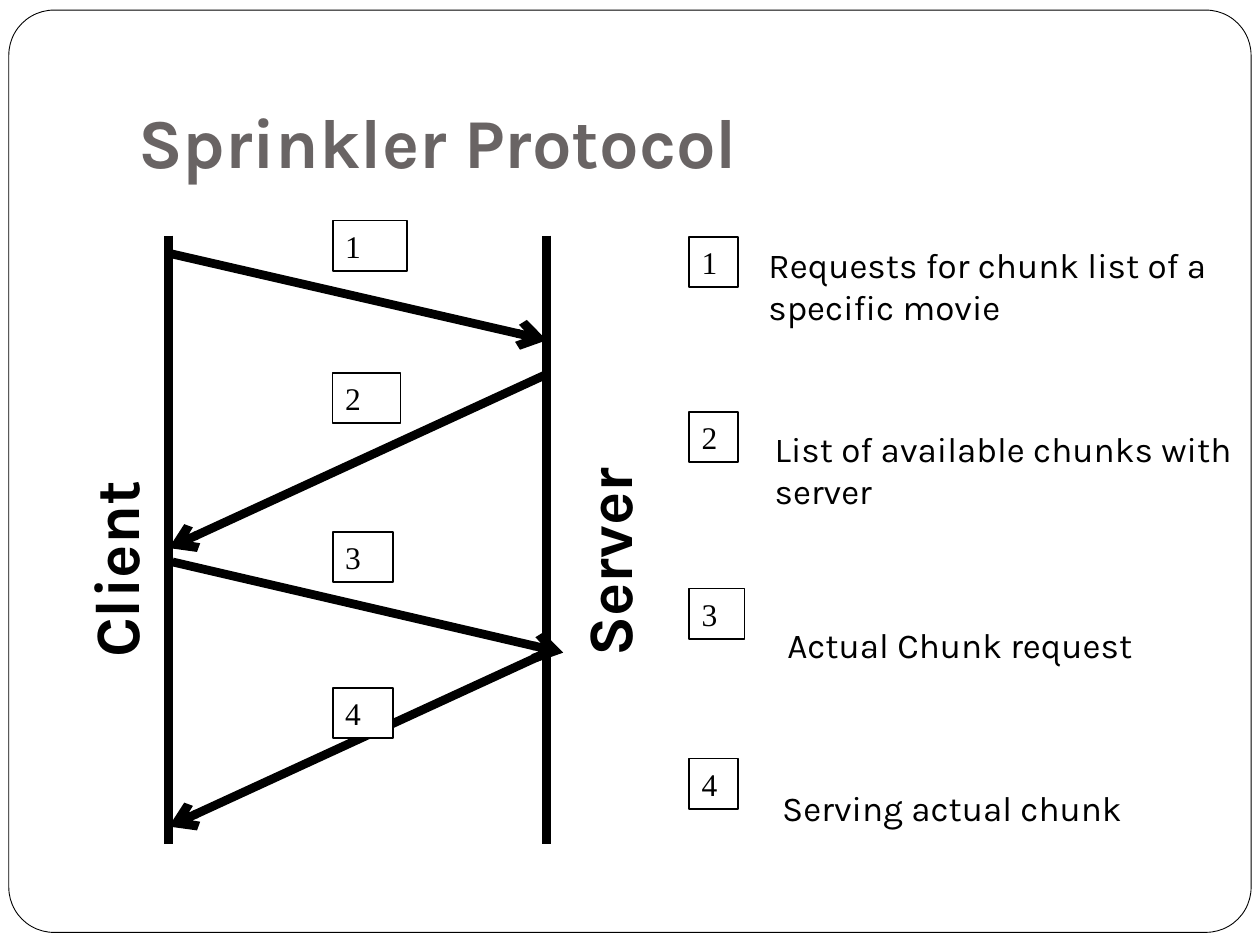
from lxml.etree import SubElement
from pptx import Presentation
from pptx.dml.color import RGBColor
from pptx.enum.shapes import MSO_CONNECTOR, MSO_SHAPE
from pptx.enum.text import MSO_ANCHOR, PP_ALIGN
from pptx.oxml.ns import qn
from pptx.util import Inches, Pt

COLORS = {"ink": "000000", "paper": "FFFFFF", "title": "696464"}
RGB = {name: RGBColor.from_string(value) for name, value in COLORS.items()}
NUMBER = {"name": "Times New Roman", "size": Pt(18)}
LABEL = {"name": "Karla", "size": Pt(20)}
ACTOR = {"name": "Karla", "size": Pt(36), "bold": True}
TITLE = {"name": "Karla", "size": Pt(40), "bold": True}

prs = Presentation()
prs.slide_width, prs.slide_height = Inches(10), Inches(7.5)
s = prs.slides.add_slide(prs.slide_layouts[6])


def add_box(x, y, w, h, text="", font=LABEL, color="ink", shape=None, line=1):
    """Add a text box, or an outlined preset shape when shape is given."""
    at = [Inches(v) for v in (x, y, w, h)]
    if shape is None:
        sp = s.shapes.add_textbox(*at)
    else:
        sp = s.shapes.add_shape(shape, *at)
        sp.shadow.inherit = False
        sp.fill.solid()
        sp.fill.fore_color.rgb = RGB["paper"]
        sp.line.color.rgb = RGB["ink"]
        sp.line.width = Pt(line)
    tf = sp.text_frame
    tf.word_wrap = True
    tf.vertical_anchor = MSO_ANCHOR.TOP
    if text:
        p = tf.paragraphs[0]
        p.alignment = PP_ALIGN.LEFT
        r = p.add_run()
        r.text = text
        for key, value in font.items():
            setattr(r.font, key, value)
        r.font.color.rgb = RGB[color]
    return sp


def add_line(x1, y1, x2, y2, arrow=False):
    c = s.shapes.add_connector(MSO_CONNECTOR.STRAIGHT,
                               *[Inches(v) for v in (x1, y1, x2, y2)])
    c.line.color.rgb = RGB["ink"]
    c.line.width = Pt(5)
    if arrow:
        SubElement(c.line._get_or_add_ln(), qn("a:tailEnd"), type="arrow")
    SubElement(c._element.spPr, qn("a:effectLst"))


frame = add_box(0.07, 0.08, 9.86, 7.32, shape=MSO_SHAPE.ROUNDED_RECTANGLE, line=0.5)
frame.adjustments[0] = 0.049

title = add_box(1, 0.3, 8.5, 1.25, "Sprinkler Protocol", TITLE, "title")
title.text_frame.vertical_anchor = MSO_ANCHOR.BOTTOM
title.text_frame.margin_bottom = Inches(0.1)

# Lifelines and the messages between them
client_x, server_x = 1.34, 4.34
for x in (client_x, server_x):
    add_line(x, 1.87, x, 6.7)
for message in [(client_x, 2.01, server_x, 2.7),
                (server_x, 2.97, client_x, 4.35),
                (1.37, 4.46, 4.47, 5.18),
                (server_x, 5.18, client_x, 6.56)]:
    add_line(*message, arrow=True)

for x, y, name in [(-0.33, 3.73, "Client"), (3.58, 3.72, "Server")]:
    add_box(x, y, 2.48, 0.7, name, ACTOR).rotation = 270

# Number boxes: (top, width) on the diagram, then in the legend
diagram = [(1.75, 0.59), (2.96, 0.54), (4.22, 0.48), (5.46, 0.48)]
legend = [(1.88, 0.39), (3.27, 0.39), (4.67, 0.44), (6.02, 0.39)]
for x, boxes in [(2.64, diagram), (5.47, legend)]:
    for number, (y, w) in enumerate(boxes, 1):
        add_box(x, y, w, 0.4, str(number), NUMBER, shape=MSO_SHAPE.RECTANGLE)

for x, y, w, h, text in [
    (6, 1.88, 4.12, 0.77, "Requests for chunk list of a specific movie"),
    (6.05, 3.34, 4.27, 0.77, "List of available chunks with server"),
    (6.15, 4.9, 4.12, 0.44, "Actual Chunk request"),
    (6.11, 6.19, 4.12, 0.44, "Serving actual chunk"),
]:
    add_box(x, y, w, h, text)

prs.save("out.pptx")
